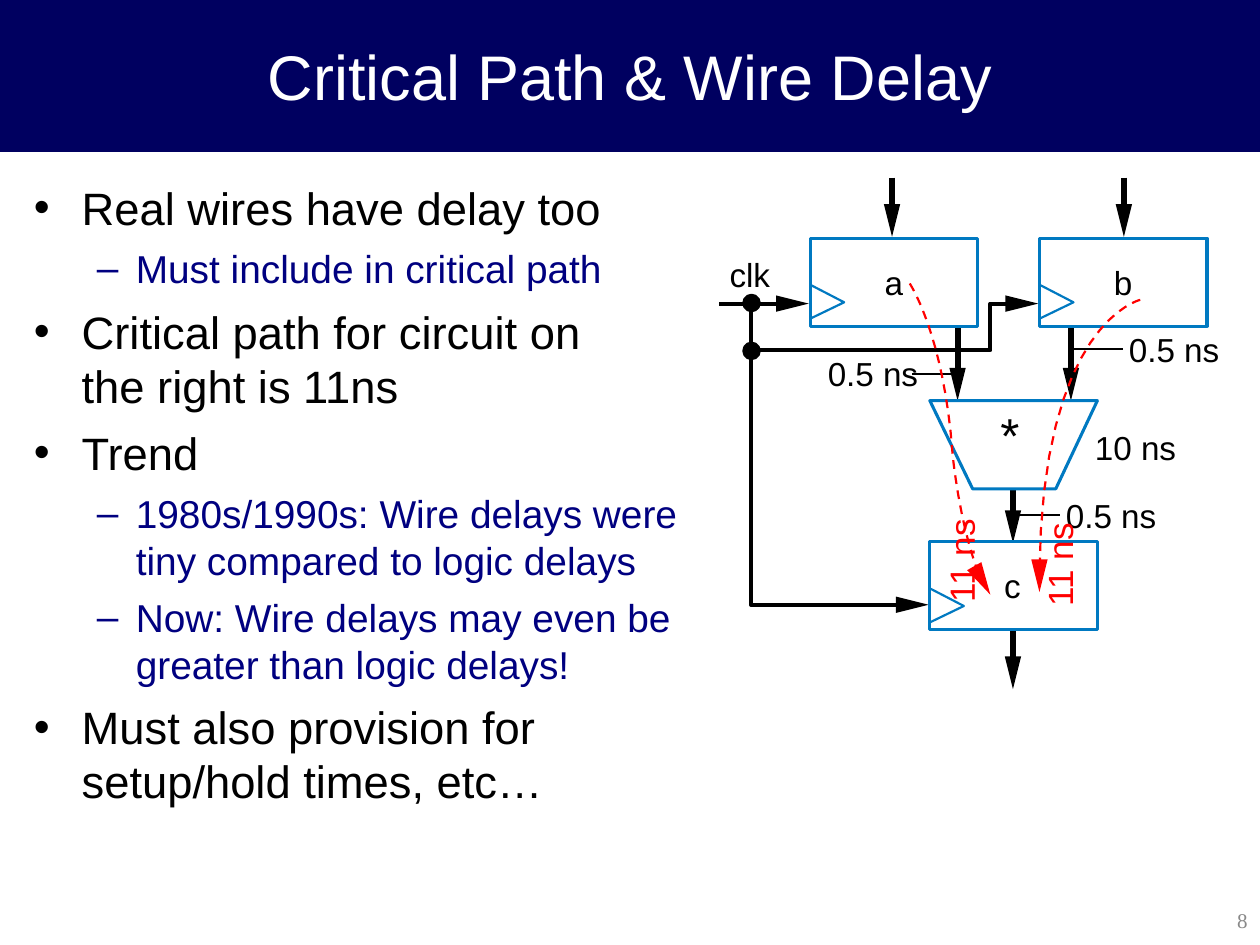
from math import hypot

from lxml import etree
from pptx import Presentation
from pptx.dml.color import RGBColor
from pptx.enum.dml import MSO_LINE_DASH_STYLE as Dash
from pptx.enum.shapes import MSO_CONNECTOR as Connector
from pptx.enum.shapes import MSO_SHAPE as Shape
from pptx.enum.text import MSO_ANCHOR as Anchor
from pptx.enum.text import PP_ALIGN as Align
from pptx.oxml.ns import qn
from pptx.util import Inches, Pt

COLORS = {"band": "000060", "white": "FFFFFF", "black": "000000", "navy": "000080",
          "outline": "0079C1", "delay": "FF0000", "number": "898989"}
BULLETS = [
    (0, "Real wires have delay too"),
    (1, "Must include in critical path"),
    (0, "Critical path for circuit on\vthe right is 11ns"),
    (0, "Trend"),
    (1, "1980s/1990s: Wire delays were tiny compared to logic delays"),
    (1, "Now: Wire delays may even be greater than logic delays!"),
    (0, "Must also provision for setup/hold times, etc…"),
]
# indent, hanging, space before, bullet, size, color
LEVELS = [(0.38, 0.38, 7, "•", 25.9, "black"), (0.81, 0.31, 6, "–", 22.2, "navy")]


def rgb(name):
    return RGBColor.from_string(COLORS[name])


def write(para, text, size=19, color="black", font="Arial", align=Align.LEFT):
    para.text = text
    para.alignment = align
    for span in para.runs:
        span.font.size = Pt(size)
        span.font.name = font
        span.font.color.rgb = rgb(color)


def add_text(page, box, text, inset=(0, 0), wrap=False, anchor=Anchor.TOP, **style):
    area = page.shapes.add_textbox(*map(Inches, box))
    frame = area.text_frame
    frame.word_wrap = wrap
    frame.vertical_anchor = anchor
    frame.margin_left = frame.margin_right = Inches(inset[0])
    frame.margin_top = frame.margin_bottom = Inches(inset[1])
    write(frame.paragraphs[0], text, **style)
    return area


def paint(shape, fill=None, line=None, width=1.25):
    shape.shadow.inherit = False
    if fill:
        shape.fill.solid()
        shape.fill.fore_color.rgb = rgb(fill)
    else:
        shape.fill.background()
    if line:
        shape.line.color.rgb = rgb(line)
        shape.line.width = Pt(width)
    else:
        shape.line.fill.background()
    return shape


def add_shape(page, kind, box, **style):
    return paint(page.shapes.add_shape(kind, *map(Inches, box)), **style)


def add_path(page, points, close=False, **style):
    points = [(Inches(x), Inches(y)) for x, y in points]
    builder = page.shapes.build_freeform(*points[0])
    builder.add_line_segments(points[1:], close=close)
    return paint(builder.convert_to_shape(), **style)


def add_line(page, start, end, width=1.25):
    line = page.shapes.add_connector(Connector.STRAIGHT, *map(Inches, start + end))
    line.line.color.rgb = rgb("black")
    line.line.width = Pt(width)
    etree.SubElement(line._element.spPr, qn("a:effectLst"))


def add_head(page, base, tip, color="black", length=0.26, half=0.065):
    """Draw a solid arrowhead at tip, pointing away from base."""
    dx, dy = tip[0] - base[0], tip[1] - base[1]
    dx, dy = dx / hypot(dx, dy), dy / hypot(dx, dy)
    x, y = tip[0] - length * dx, tip[1] - length * dy
    corners = [tip, (x + half * dy, y - half * dx), (x - half * dy, y + half * dx)]
    add_path(page, corners, close=True, fill=color)


def add_arrow(page, points, tip, width):
    if len(points) == 2:
        add_line(page, *points, width=width)
    else:
        add_path(page, points, line="black", width=width)
    add_head(page, points[-1], tip)


def bezier(p0, p1, p2, p3, steps=16):
    def blend(t, a, b, c, d):
        s = 1 - t
        return s**3 * a + 3 * s**2 * t * b + 3 * s * t**2 * c + t**3 * d

    return [tuple(blend(i / steps, *axis) for axis in zip(p0, p1, p2, p3))
            for i in range(steps + 1)]


def title_band(page, box, text):
    title = page.shapes.title
    band = add_shape(page, Shape.RECTANGLE, box, fill="band", line="band", width=0.75)
    title._element.addprevious(band._element)
    title.left, title.top, title.width, title.height = map(Inches, box)
    title.text_frame.vertical_anchor = Anchor.MIDDLE
    write(title.text_frame.paragraphs[0], text, size=36, color="white", align=Align.CENTER)


def bullet_list(page, box):
    frame = page.shapes.add_textbox(*map(Inches, box)).text_frame
    frame.word_wrap = True
    for i, (level, text) in enumerate(BULLETS):
        indent, hanging, before, mark, size, color = LEVELS[level]
        para = frame.add_paragraph() if i else frame.paragraphs[0]
        para.level = level
        para.space_before = Pt(before if i else 0)
        props = para._p.get_or_add_pPr()
        props.set("marL", str(Inches(indent)))
        props.set("indent", str(-Inches(hanging)))
        tint = etree.SubElement(props, qn("a:buClr"))
        etree.SubElement(tint, qn("a:srgbClr"), val=COLORS[color])
        etree.SubElement(props, qn("a:buFont"), typeface="Arial")
        etree.SubElement(props, qn("a:buChar"), char=mark)
        write(para, text, size=size, color=color)


def register(page, left, top, name):
    add_text(page, (left + 0.59, top + 0.19, 0.15, 0.32), name)
    clock_mark = [(left, top + 0.64), (left + 0.27, top + 0.51), (left, top + 0.37)]
    add_path(page, clock_mark, line="outline")
    add_shape(page, Shape.RECTANGLE, (left, top, 1.33, 0.7), line="outline", width=1.75)


def delay_path(page, points, tip, label):
    add_head(page, points[-1], tip, color="delay")
    add_path(page, points, line="delay").line.dash_style = Dash.DASH
    area = add_text(page, label + (0.88, 0.44), "11 ns", inset=(0.1, 0.05),
                    size=20, color="delay")
    area.rotation = 270


def circuit(page, left, top):
    def at(x, y):
        return left + x, top + y

    clock_wires = [
        ([(0.01, 1.01), (0.51, 1.01)], (0.72, 1.01)),
        ([(0.26, 1), (0.26, 3.4), (1.45, 3.4)], (1.67, 3.4)),
        ([(0.26, 1.38), (2.16, 1.38), (2.16, 1.01), (2.33, 1.01)], (2.54, 1.01)),
    ]
    for points, tip in clock_wires:
        add_arrow(page, [at(*point) for point in points], at(*tip), 2.38)
    for x, start, end in [(1.38, 0.01, 0.48), (3.22, 0.01, 0.48), (1.9, 1.19, 1.78),
                          (2.8, 1.19, 1.78), (2.34, 2.48, 2.91), (2.34, 3.61, 4.07)]:
        add_arrow(page, [at(x, start), at(x, end - 0.21)], at(x, end), 3.5)
    for y in (0.94, 1.32):
        add_shape(page, Shape.OVAL, at(0.2, y) + (0.13, 0.13), fill="black", line="black")

    for name, x, y in [("a", 0.73, 0.49), ("b", 2.55, 0.49), ("c", 1.68, 2.9)]:
        register(page, *at(x, y), name)
    multiplier = [at(3.01, 1.78), at(2.68, 2.48), at(2.02, 2.48), at(1.68, 1.78)]
    add_path(page, multiplier, close=True, line="outline", width=1.75)
    add_text(page, at(2.24, 1.81) + (0.15, 0.47), "*", size=28)

    for text, x, y, width in [("clk", 0.09, 0.62, 0.4), ("10 ns", 2.99, 1.99, 0.72),
                              ("0.5 ns", 0.87, 1.4, 0.8), ("0.5 ns", 3.26, 1.21, 0.8),
                              ("0.5 ns", 2.76, 2.53, 0.8)]:
        add_text(page, at(x, y) + (width, 0.32), text)
    for start, end, y in [(2.81, 3.21, 1.37), (1.54, 1.89, 1.57), (2.39, 2.71, 2.69)]:
        add_line(page, at(start, y), at(end, y))

    from_a, bend = at(1.52, 0.85), at(1.86, 2.2)
    curve_a = (bezier(from_a, from_a, at(1.79, 1.25), bend)
               + bezier(bend, bend, at(1.91, 2.75), at(2.07, 3.16))[1:])
    delay_path(page, curve_a, at(2.16, 3.32), at(1.49, 2.82))
    from_b = at(3.35, 0.98)
    curve_b = bezier(from_b, from_b, at(2.56, 1.16), at(2.55, 3.17))
    delay_path(page, curve_b, at(2.55, 3.3), at(2.27, 2.85))


def main():
    deck = Presentation()
    deck.slide_width, deck.slide_height = Inches(10), Inches(7.5)
    page = deck.slides.add_slide(deck.slide_layouts[5])
    title_band(page, (0, 0, 10, 1.2), "Critical Path & Wire Delay")
    bullet_list(page, (0.17, 1.38, 5.44, 5.72))
    add_text(page, (7.88, 7.1, 2.12, 0.4), "8", inset=(0.1, 0.05), wrap=True,
             anchor=Anchor.MIDDLE, size=12, color="number", font="Times New Roman",
             align=Align.RIGHT)
    circuit(page, 5.7, 1.4)
    deck.save("out.pptx")


if __name__ == "__main__":
    main()
